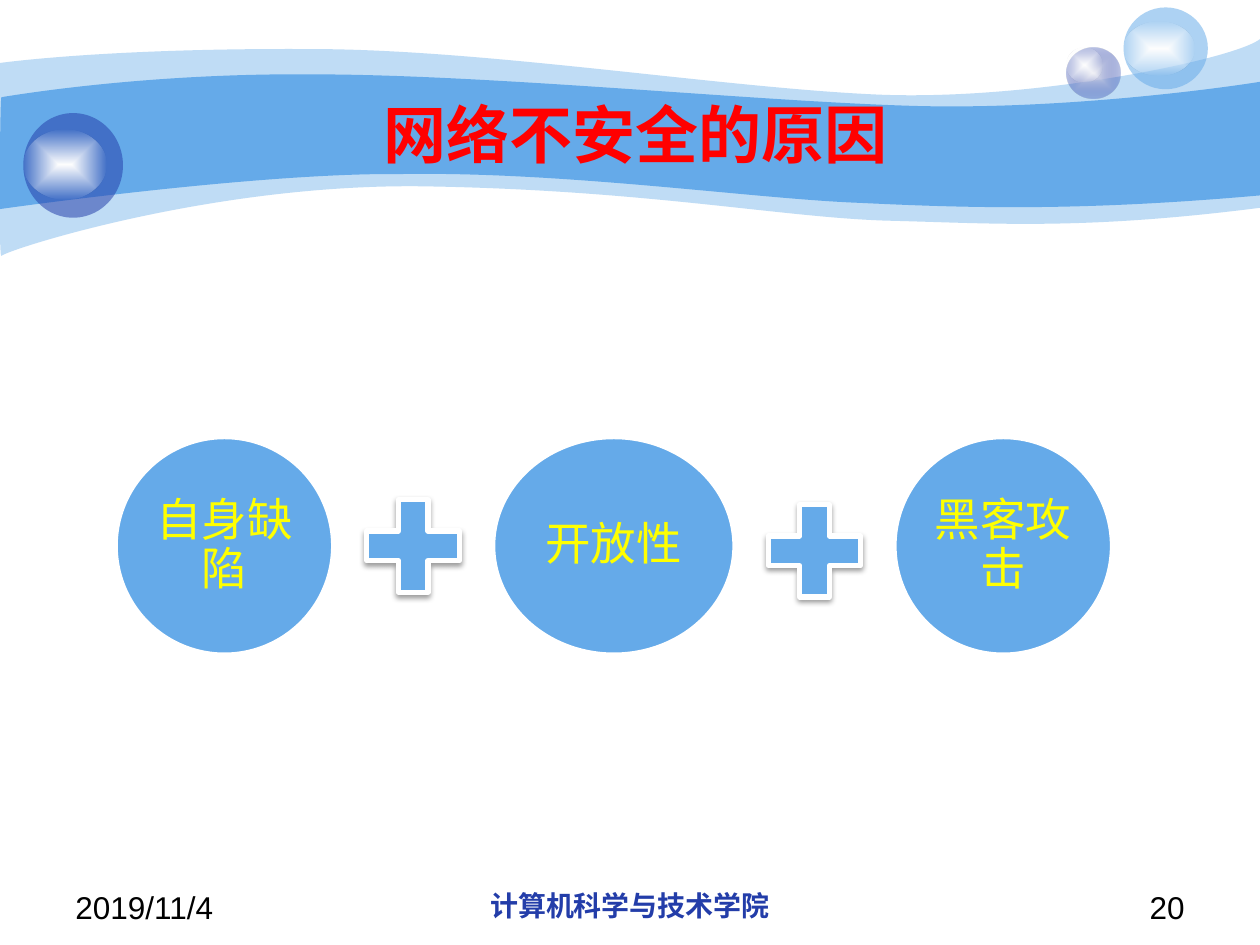
from lxml import etree
from pptx import Presentation
from pptx.dml.color import RGBColor
from pptx.enum.shapes import MSO_SHAPE
from pptx.enum.text import MSO_ANCHOR, PP_ALIGN
from pptx.oxml import parse_xml
from pptx.oxml.ns import nsdecls, qn
from pptx.util import Cm, Pt

OVAL, PLUS = MSO_SHAPE.OVAL, MSO_SHAPE.MATH_PLUS
TOP, MIDDLE = MSO_ANCHOR.TOP, MSO_ANCHOR.MIDDLE
LEFT, CENTER, RIGHT = PP_ALIGN.LEFT, PP_ALIGN.CENTER, PP_ALIGN.RIGHT
SKY, NAVY, WHITE, RED = "65AAE9", "233DA9", "FFFFFF", "FF0000"
YELLOW, BLACK, PEARL = "FFFF00", "000000", "E1E2ED"
FONT = "Arial"

OUTER_WAVE = [
    [(0, 1.27)],
    [(0.61, 1.19), (2.72, 0.97), (6.27, 0.99)],
    [(9.8, 0.99), (14.61, 1.78), (17.75, 1.91)],
    [(20.88, 2.03), (24.89, 1.19), (25.4, 0.79)],
    [(25.4, 4.19)],
    [(21.79, 4.65), (19.99, 4.5), (17.91, 4.45)],
    [(15.8, 4.39), (13.08, 3.84), (8.71, 3.76)],
    [(4.37, 3.66), (0.1, 5.05), (0.03, 5.16)],
    [(-0.03, 5.28), (0, 1.91), (0, 1.27)],
]
INNER_WAVE = [
    [(0.03, 1.96)],
    [(0.05, 1.96), (2.79, 1.47), (6.3, 1.5)],
    [(9.8, 1.5), (15.11, 2.03), (18.24, 2.13)],
    [(21.36, 2.24), (24.79, 1.75), (25.4, 1.65)],
    [(25.4, 3.94)],
    [(21.67, 4.27), (19.43, 4.19), (17.32, 4.09)],
    [(15.21, 4.01), (11.35, 3.45), (8.05, 3.51)],
    [(5.16, 3.48), (-0.05, 4.22), (-0.03, 4.22)],
    [(0, 4.22), (0, 1.96), (0.03, 1.96)],
]


def color(hex_code):
    return RGBColor.from_string(hex_code)


def paint(sp, fill, alpha=100):
    sp.shadow.inherit = False
    sp.fill.solid()
    sp.fill.fore_color.rgb = color(fill)
    sp.line.fill.background()
    if alpha < 100:
        clr = sp._element.spPr.find(qn("a:solidFill"))[0]
        etree.SubElement(clr, qn("a:alpha"), val=str(alpha * 1000))


def paint_radial(sp, inner, outer, outer_alpha):
    paint(sp, inner)
    spPr = sp._element.spPr
    grad = parse_xml(
        f'<a:gradFill {nsdecls("a")} rotWithShape="1"><a:gsLst>'
        f'<a:gs pos="0"><a:srgbClr val="{inner}"/></a:gs>'
        f'<a:gs pos="100000"><a:srgbClr val="{outer}">'
        f'<a:alpha val="{outer_alpha * 1000}"/></a:srgbClr></a:gs></a:gsLst>'
        '<a:path path="shape"><a:fillToRect l="50000" t="50000" r="50000" b="50000"/>'
        '</a:path></a:gradFill>')
    spPr.replace(spPr.find(qn("a:solidFill")), grad)


def outline(sp, width):
    sp.line.color.rgb = color(WHITE)
    sp.line.width = Pt(width)


def add_shape(s, kind, x, y, w, h):
    return s.shapes.add_shape(kind, Cm(x), Cm(y), Cm(w), Cm(h))


def write(sp, text, size, hex_code, align=CENTER, anchor=MIDDLE, bold=False):
    tf = sp.text_frame
    tf.word_wrap = True
    tf.vertical_anchor = anchor
    p = tf.paragraphs[0]
    p.text = text
    p.alignment = align
    p.font.name = FONT
    p.font.size = Pt(size)
    p.font.bold = bold
    p.font.color.rgb = color(hex_code)
    return tf


def add_text(s, x, y, w, h, *args, **kwargs):
    sp = s.shapes.add_textbox(Cm(x), Cm(y), Cm(w), Cm(h))
    write(sp, *args, **kwargs)


def bend(sp, segments):
    lines = iter(list(sp._element.iter(qn("a:lnTo"))))
    for segment in segments[1:]:
        first, *rest = [next(lines) for _ in segment]
        if rest:
            first.tag = qn("a:cubicBezTo")
            for line in rest:
                first.append(line[0])
                line.getparent().remove(line)


def add_wave(s, x, y, segments, alpha=100):
    points = [(Cm(x + px), Cm(y + py)) for segment in segments for px, py in segment]
    builder = s.shapes.build_freeform(*points[0])
    builder.add_line_segments(points[1:], close=True)
    sp = builder.convert_to_shape()
    bend(sp, segments)
    paint(sp, SKY, alpha)


def add_bubble(s, x, y, w, h, shine_dy, shine_w, shine_h, fill=None):
    ball = add_shape(s, OVAL, x, y, w, h)
    if fill:
        paint(ball, fill, 53)
    else:
        paint_radial(ball, PEARL, NAVY, 31)
    shine = add_shape(s, OVAL, x, y + shine_dy, shine_w, shine_h)
    paint_radial(shine, WHITE, WHITE, 0)


def add_header(s, x, y):
    add_wave(s, x, y, OUTER_WAVE, 41)
    add_wave(s, x, y, INNER_WAVE)
    add_bubble(s, x + 21.51, y + 0.97, 1.07, 1.02, 0, 0.71, 0.69)
    add_bubble(s, x + 22.65, y + 0.15, 1.7, 1.65, 0.28, 1.42, 1.09, SKY)
    add_bubble(s, x + 0.47, y + 2.28, 2.01, 2.11, 0.33, 1.68, 1.42, NAVY)
    add_text(s, x + 2.55, y + 1.9, 20.52, 1.57, "网络不安全的原因", 36, RED, bold=True)


def add_cause(s, x, y, w, h, text):
    sp = add_shape(s, OVAL, x, y, w, h)
    paint(sp, SKY)
    outline(sp, 2)
    tf = write(sp, text, 26, YELLOW)
    tf.margin_left = tf.margin_right = tf.margin_top = tf.margin_bottom = Cm(0.1)
    tf.paragraphs[0].line_spacing = 0.9


def add_plus(s, x, y, size):
    sp = add_shape(s, PLUS, x, y, size, size)
    paint(sp, SKY)
    outline(sp, 3)
    sp._element.spPr.find(qn("a:effectLst")).append(parse_xml(
        f'<a:outerShdw {nsdecls("a")} blurRad="40000" dist="20000" dir="5400000" '
        f'rotWithShape="0"><a:srgbClr val="{BLACK}"><a:alpha val="38000"/>'
        '</a:srgbClr></a:outerShdw>'))


def add_equation(s, x, y, h):
    gap, plus = 0.35, 2.54
    causes = [("自身缺陷", 4.37, 0), ("开放性", 4.85, 0.1), ("黑客攻击", 4.37, None)]
    for text, w, plus_drop in causes:
        add_cause(s, x, y, w, h, text)
        x += w + gap
        if plus_drop is not None:
            add_plus(s, x, y + (h - plus) / 2 + plus_drop, plus)
            x += plus + gap


def add_footer(s, x, y, w, h):
    side, middle = 5.92, 8.05
    add_text(s, x, y, side, h, "2019/11/4", 18, BLACK, LEFT, TOP)
    add_text(s, x + (w - middle) / 2, y, middle, h, "计算机科学与技术学院",
             16, NAVY, CENTER, TOP, bold=True)
    add_text(s, x + w - side, y, side, h, "20", 18, BLACK, RIGHT, TOP)


def main():
    prs = Presentation()
    prs.slide_width, prs.slide_height = Cm(25.4), Cm(19.05)
    s = prs.slides.add_slide(prs.slide_layouts[6])
    add_header(s, 0, 0)
    add_equation(s, 2.34, 8.82, 4.37)
    add_footer(s, 1.27, 17.78, 22.86, 0.89)
    prs.save("out.pptx")


if __name__ == "__main__":
    main()
